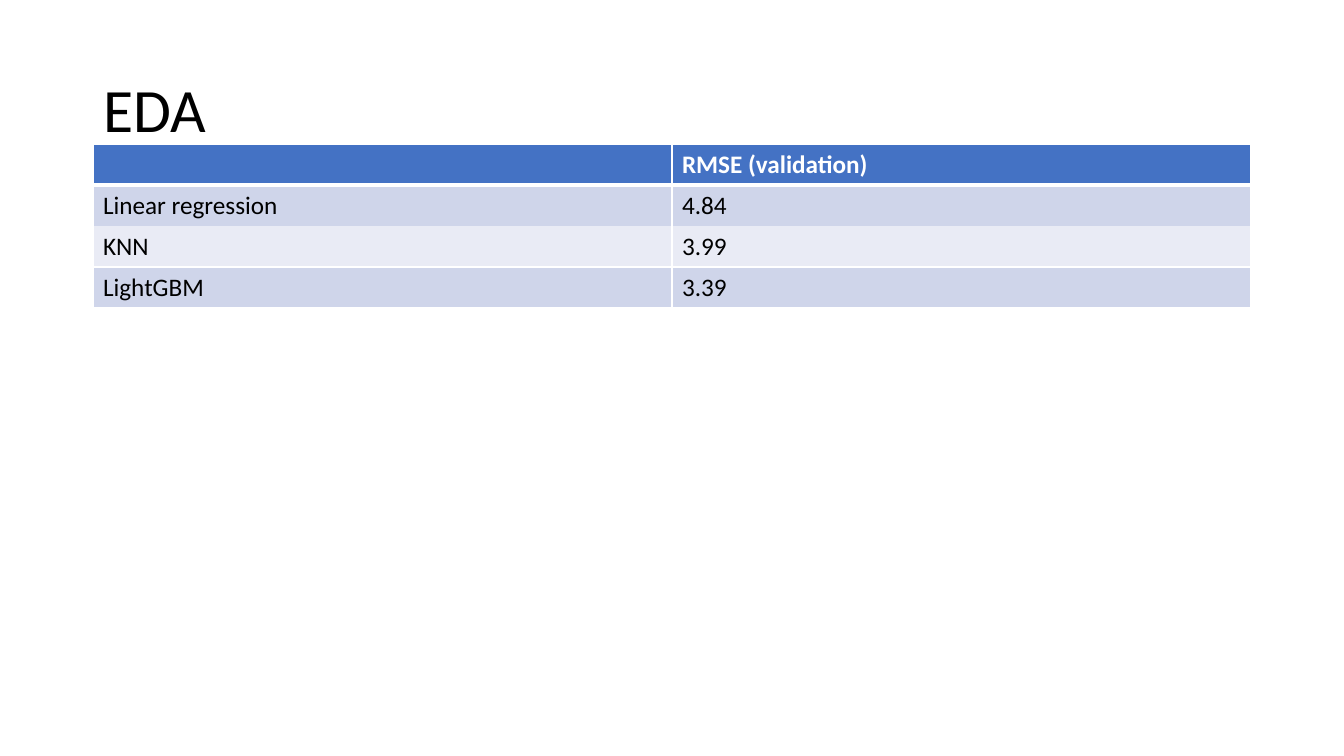
from pptx import Presentation
from pptx import util as u
from pptx.dml.color import RGBColor
from pptx.enum import text
from pptx.oxml import parse_xml
from pptx.oxml.ns import nsdecls

EMU_PER_PX = 914400 / 100.8
WHITE = RGBColor(0xFF, 0xFF, 0xFF)
BLACK = RGBColor(0x00, 0x00, 0x00)
HEADER_BLUE = RGBColor(0x44, 0x72, 0xC4)
BAND_DARK = RGBColor(0xCF, 0xD5, 0xEA)
BAND_LIGHT = RGBColor(0xE9, 0xEB, 0xF5)


def px(length):
    return u.Emu(round(length * EMU_PER_PX))


class SlideBuilder:
    font = "Calibri"

    def __init__(self, deck):
        self.page = deck.slides.add_slide(deck.slide_layouts[5])

    def style(self, para, size, color, bold=False):
        for span in para.runs:
            span.font.name = self.font
            span.font.size = u.Pt(size)
            span.font.bold = bold
            span.font.color.rgb = color

    def title(self, words, left, top, width, height):
        box = self.page.shapes.title
        box.left, box.top = px(left), px(top)
        box.width, box.height = px(width), px(height)
        frame = box.text_frame
        frame.text = words
        frame.vertical_anchor = text.MSO_ANCHOR.MIDDLE
        para = frame.paragraphs[0]
        para.alignment = text.PP_ALIGN.LEFT
        para.line_spacing = 0.9
        self.style(para, 44, BLACK)

    def border(self, cell, side, points):
        fill = (f'<a:solidFill><a:srgbClr val="{WHITE}"/></a:solidFill>'
                if points else "<a:noFill/>")
        cell._tc.get_or_add_tcPr().append(parse_xml(
            f'<a:ln{side} {nsdecls("a")} w="{u.Pt(points)}">{fill}</a:ln{side}>'))

    def table(self, rows, rules, left, top, column_width, row_height):
        columns = len(rows[0])
        table = self.page.shapes.add_table(
            len(rows), columns, px(left), px(top),
            px(columns * column_width), px(len(rows) * row_height)).table
        for column in table.columns:
            column.width = px(column_width)
        for r, values in enumerate(rows):
            table.rows[r].height = px(row_height)
            header = r == 0
            shade = HEADER_BLUE if header else (BAND_LIGHT, BAND_DARK)[r % 2]
            for c, value in enumerate(values):
                cell = table.cell(r, c)
                cell.text = value
                self.style(cell.text_frame.paragraphs[0], 18,
                           WHITE if header else BLACK, header)
                # Borders come before the fill in the cell properties
                for side, points in zip("LRTB", (1, 1, rules[r], rules[r + 1])):
                    self.border(cell, side, points)
                cell.fill.solid()
                cell.fill.fore_color.rgb = shade


def main():
    deck = Presentation()
    deck.slide_width, deck.slide_height = px(1344), px(756)
    slide = SlideBuilder(deck)

    # Title
    slide.title("EDA", 93, 40, 1159, 146)

    # Validation error by model; rules are the horizontal line widths in points
    slide.table([("", "RMSE (validation)"),
                 ("Linear regression", "4.84"),
                 ("KNN", "3.99"),
                 ("LightGBM", "3.39")],
                rules=(1, 3, 0, 1, 1),
                left=93, top=144, column_width=579, row_height=41)

    deck.save("out.pptx")


if __name__ == "__main__":
    main()
